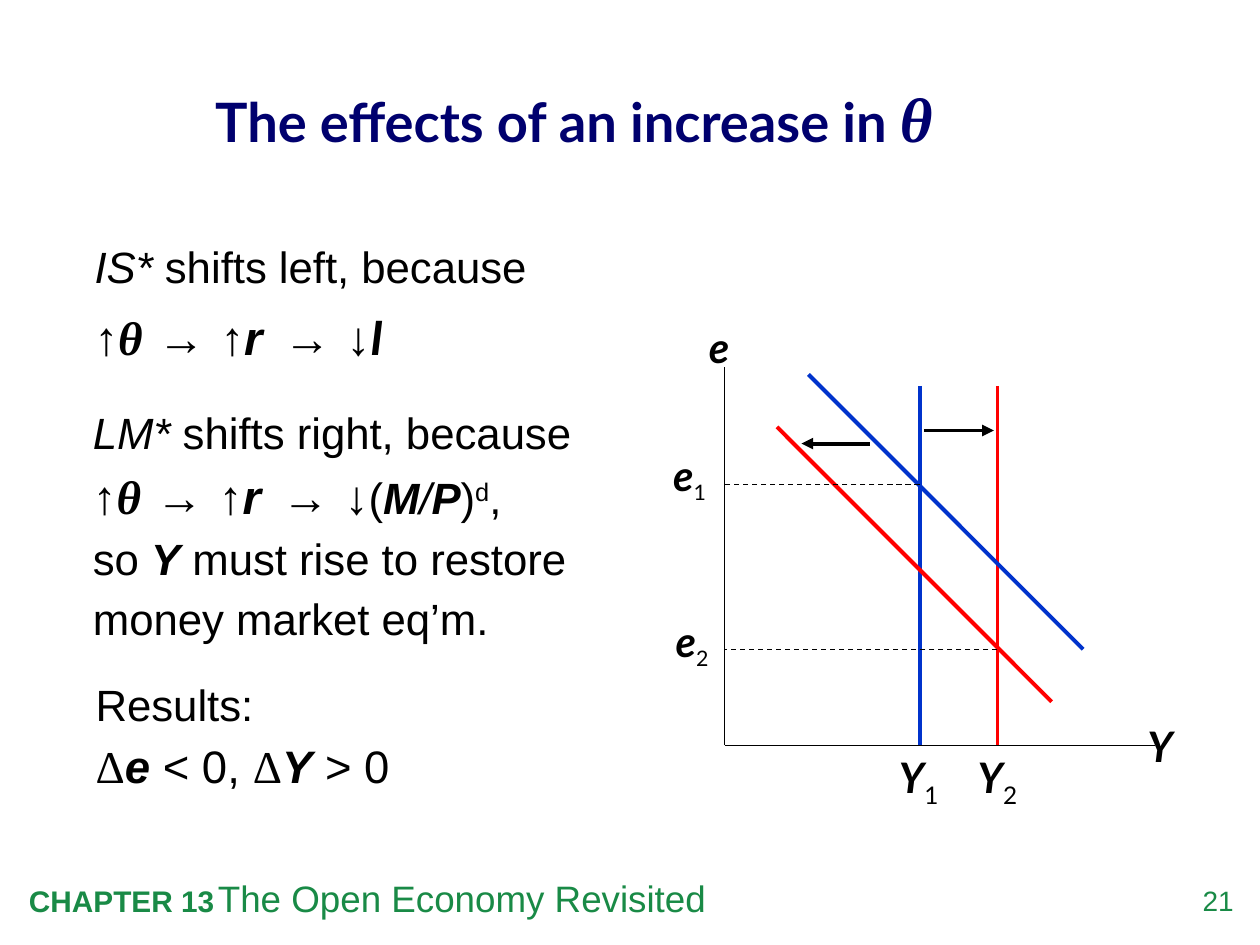
from dataclasses import dataclass

from lxml import etree
from pptx import Presentation
from pptx.dml.color import RGBColor
from pptx.enum.dml import MSO_LINE
from pptx.enum.shapes import MSO_CONNECTOR
from pptx.enum.text import MSO_ANCHOR, MSO_AUTO_SIZE, PP_ALIGN
from pptx.oxml.ns import qn
from pptx.util import Pt

LEFT, CENTER, RIGHT = PP_ALIGN.LEFT, PP_ALIGN.CENTER, PP_ALIGN.RIGHT
TOP, MIDDLE = MSO_ANCHOR.TOP, MSO_ANCHOR.MIDDLE
NO_FIT = MSO_AUTO_SIZE.NONE
STRAIGHT, DASH = MSO_CONNECTOR.STRAIGHT, MSO_LINE.DASH


@dataclass(frozen=True)
class Theme:
    """Colours, fonts and type sizes of the slide."""
    black: str = "000000"
    navy: str = "00006E"
    green: str = "198A46"
    blue: str = "0033CC"
    red: str = "FF0000"
    sans: str = "Arial"
    label: str = "Lato"
    greek: str = "Times New Roman"
    title: int = 31
    theta: int = 36
    body: int = 25
    delta: int = 26
    symbol: int = 27
    axis: int = 24
    index: int = 21
    chapter: int = 17
    number: int = 16


T = Theme()
BODY = dict(name=T.sans, size=T.body, color=T.black)
ITALIC = BODY | dict(italic=True)
STRONG = ITALIC | dict(bold=True)
SYMBOL = BODY | dict(size=T.symbol)
ARROW = SYMBOL | dict(bold=True)
VARIABLE = ARROW | dict(italic=True)
THETA = VARIABLE | dict(name=T.greek)
RESULT = BODY | dict(size=T.delta)
RESULT_VAR = RESULT | dict(bold=True, italic=True)
DELTA = RESULT | dict(name=T.greek)
TITLE = dict(name=T.label, size=T.title, color=T.navy, bold=True)
AXIS = dict(name=T.label, size=T.axis, color=T.black, bold=True, italic=True)
FOOTER = dict(name=T.sans, size=T.index, color=T.green)

CHAIN = [("↑", SYMBOL), ("θ", THETA), ("\t→\t", ARROW), ("↑", SYMBOL),
         ("r", VARIABLE), ("\t→\t", ARROW), ("↓", SYMBOL)]


def add_run(p, text, style):
    """Add one run with the given style."""
    r = p.add_run()
    r.text = text
    values = dict(bold=False, italic=False) | style
    r.font.color.rgb = RGBColor.from_string(values.pop("color"))
    values["size"] = Pt(values["size"])
    baseline = values.pop("baseline", 0)
    for key, value in values.items():
        setattr(r.font, key, value)
    if baseline:
        r._r.get_or_add_rPr().set("baseline", str(baseline * 1000))


def add_tabs(p, stops):
    """Switch bullets off and set left tab stops."""
    pPr = p._p.get_or_add_pPr()
    pPr.set("marL", "0")
    pPr.set("indent", "0")
    etree.SubElement(pPr, qn("a:buNone"))
    tabs = etree.SubElement(pPr, qn("a:tabLst"))
    for stop in stops:
        etree.SubElement(tabs, qn("a:tab"), pos=str(Pt(stop)), algn="l")


def fill_text(sp, box, paragraphs, align=LEFT, spacing=1, gap=0,
              anchor=TOP, inset=True, stops=()):
    """Place a shape and write its paragraphs of styled runs."""
    sp.left, sp.top, sp.width, sp.height = map(Pt, box)
    tf = sp.text_frame
    for key, value in dict(word_wrap=True, auto_size=NO_FIT,
                           vertical_anchor=anchor).items():
        setattr(tf, key, value)
    for side, value in dict(left=7.2, right=7.2, top=3.6, bottom=3.6).items():
        setattr(tf, f"margin_{side}", Pt(value if inset else 0))
    for i, runs in enumerate(paragraphs):
        p = tf.add_paragraph() if i else tf.paragraphs[0]
        add_tabs(p, stops)
        for key, value in dict(alignment=align, line_spacing=spacing,
                               space_before=Pt(gap if i else 0)).items():
            setattr(p, key, value)
        for text, style in runs:
            if text == "\n":
                p.add_line_break()
            else:
                add_run(p, text, style)


def add_text(s, box, paragraphs, **layout):
    """Add a text box."""
    fill_text(s.shapes.add_textbox(0, 0, 0, 0), box, paragraphs, **layout)


def add_label(s, x, y, name, index="", size=T.axis):
    """Add a centred label with an optional subscript."""
    runs = [(name, AXIS)]
    if index:
        runs.append((index, AXIS | dict(size=size, bold=False, italic=False,
                                        baseline=-25)))
    add_text(s, (x, y, 42, 36), [runs], align=CENTER)


def add_line(s, start, end, color=T.black, width=2.25, dash=None, arrow=False):
    """Add a straight line, optionally dashed or with an arrowhead."""
    line = s.shapes.add_connector(STRAIGHT, *map(Pt, (*start, *end)))
    line.line.color.rgb = RGBColor.from_string(color)
    line.line.width = Pt(width)
    if dash:
        line.line.dash_style = dash
    if arrow:
        etree.SubElement(line.line._get_or_add_ln(), qn("a:tailEnd"),
                         type="triangle")
    etree.SubElement(line._element.spPr, qn("a:effectLst"))


def add_explanation(s, body):
    """Write the reasoning on the left."""
    fill_text(body, (46.8, 129, 314, 96), [
        [("IS*", ITALIC), (" shifts left, because", BODY)],
        CHAIN + [("I", VARIABLE | dict(name=T.label))],
    ], spacing=1.15, gap=4, stops=(53, 108, 149, 188))
    add_text(s, (46, 224, 312, 162), [
        [("LM*", ITALIC), (" shifts right, because", BODY)],
        CHAIN + [("(", BODY), ("M", STRONG), ("/", ITALIC), ("P", STRONG),
                 (")", BODY), ("d", BODY | dict(baseline=30)), (",", BODY)],
        [("so ", BODY), ("Y", STRONG),
         (" must rise to restore money market eq’m.", BODY)],
    ], spacing=1.15, stops=(53, 100, 141, 181))
    add_text(s, (47.5, 379, 228, 84), [
        [("Results:", BODY), ("\n", BODY), ("Δ", DELTA), ("e ", RESULT_VAR),
         ("< 0, ", RESULT), ("Δ", DELTA), ("Y", RESULT_VAR),
         (" > 0", RESULT)],
    ], spacing=1.15)


def add_diagram(s):
    """Draw the IS*-LM* diagram with both shifts."""
    x0, y0 = 414, 426
    y1, y2, e1, e2 = 525.5, 570, 277, 371
    add_line(s, (x0, 210), (x0, y0), width=1)
    add_line(s, (x0, y0), (660, y0), width=1)
    for x, color in ((y1, T.blue), (y2, T.red)):
        add_line(s, (x, 220.5), (x, y0), color)
    for x, y, color in ((462, 214, T.blue), (444, 244, T.red)):
        add_line(s, (x, y), (x + 157, y + 157), color)
    for x, y in ((y1, e1), (y2, e2)):
        add_line(s, (x, y), (x0, y), width=0.75, dash=DASH)
    add_line(s, (528, 246), (568, 246), arrow=True)
    add_line(s, (497, 253.5), (458, 253.5), arrow=True)
    add_label(s, 642, 408, "Y")
    add_label(s, 390, 180, "e")
    for x, index in ((504, "1"), (549, "2")):
        add_label(s, x, y0, "Y", index)
    for x, y, index in ((373, 253.5, "1"), (374.5, 348, "2")):
        add_label(s, x, y, "e", index, T.index)


def add_footer(s):
    """Write the chapter line and the page number."""
    add_text(s, (9.4, 497, 589, 32), [
        [("CHAPTER 13\t", FOOTER | dict(size=T.chapter, bold=True)),
         ("The Open Economy Revisited", FOOTER)]], stops=(125,))
    add_text(s, (665, 505, 40, 23), [[("21", FOOTER | dict(size=T.number))]],
             align=RIGHT, inset=False)


def main():
    """Build and save the slide."""
    prs = Presentation()
    prs.slide_width, prs.slide_height = Pt(720), Pt(540)
    s = prs.slides.add_slide(prs.slide_layouts[1])
    fill_text(s.shapes.title, (123, 19, 531, 94), [
        [("The effects of an increase in ", TITLE),
         ("θ", TITLE | dict(name=T.greek, size=T.theta, italic=True))],
    ], spacing=1.05, anchor=MIDDLE, inset=False)
    add_explanation(s, s.placeholders[1])
    add_diagram(s)
    add_footer(s)
    prs.save("out.pptx")


if __name__ == "__main__":
    main()
